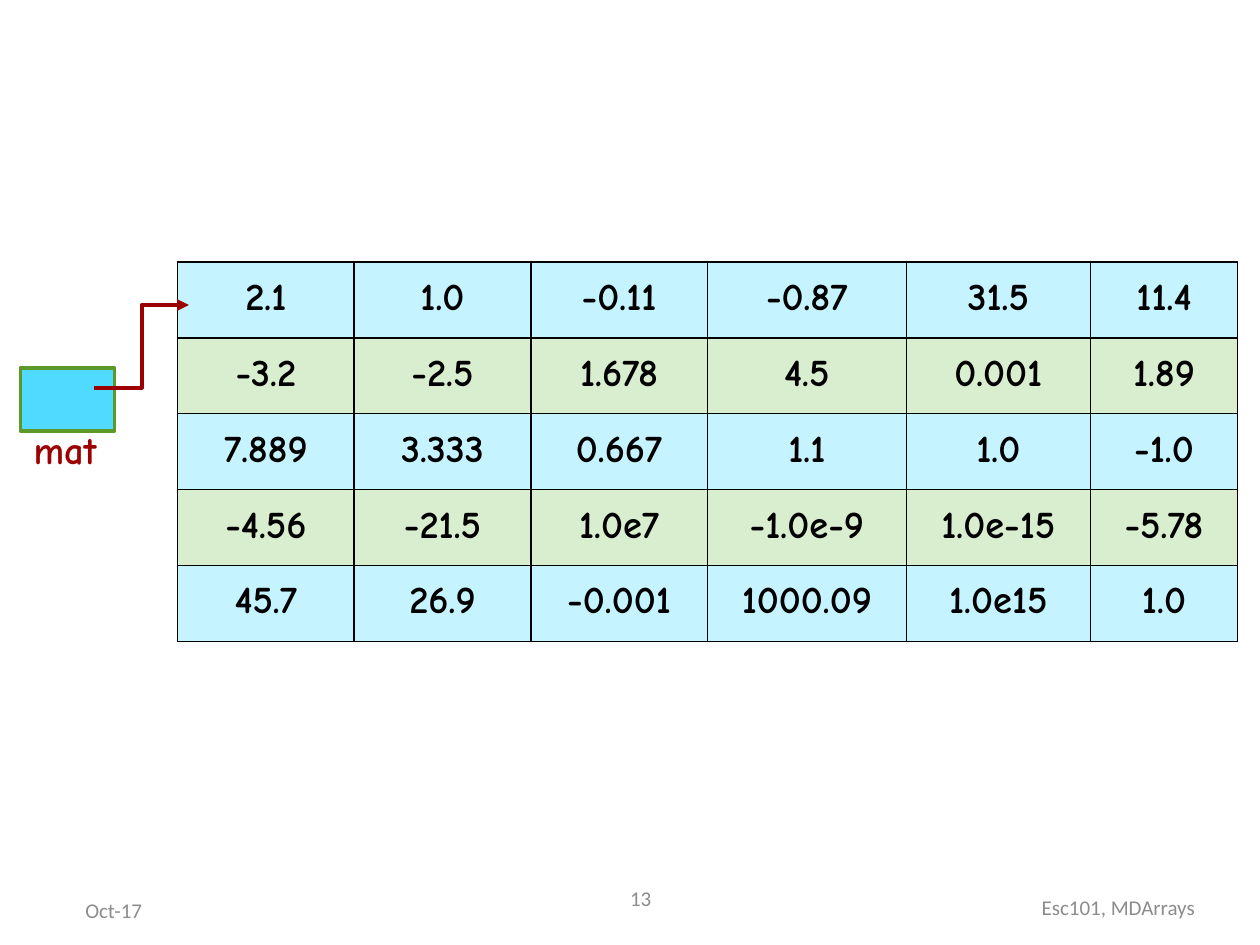
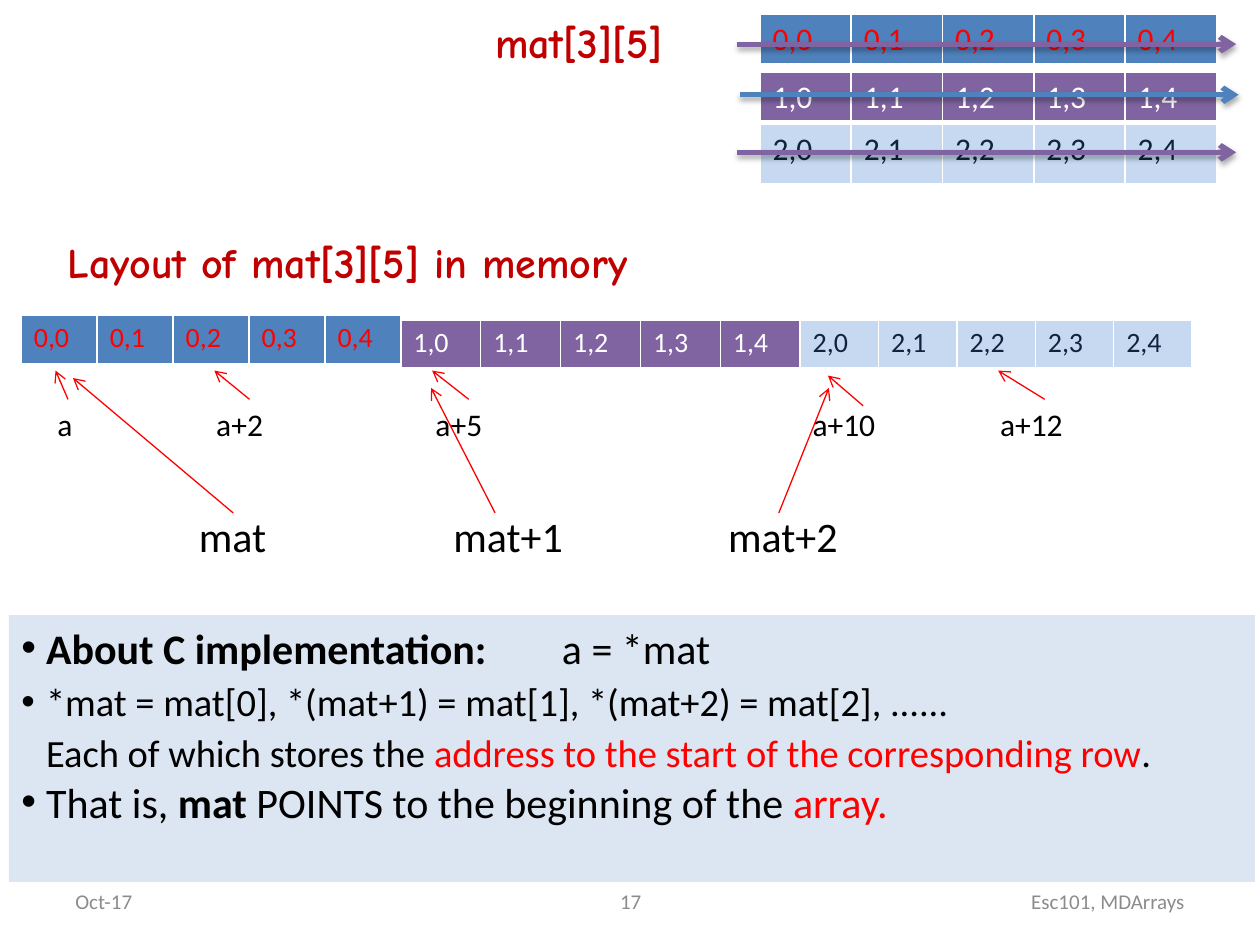
import dataclasses
import itertools

import lxml.etree
import pptx
import pptx.dml.color
import pptx.enum.shapes
import pptx.enum.text
import pptx.oxml
import pptx.oxml.ns
import pptx.util

Cm, Pt = pptx.util.Cm, pptx.util.Pt
ALIGN = pptx.enum.text.PP_ALIGN
ANCHOR = pptx.enum.text.MSO_ANCHOR
CONNECTOR = pptx.enum.shapes.MSO_CONNECTOR
qn = pptx.oxml.ns.qn


@dataclasses.dataclass(frozen=True)
class Theme:
    """Colours, fonts and type sizes of both slides."""
    body: str = "Calibri"
    hand: str = "Comic Neue"
    black: str = "000000"
    white: str = "FFFFFF"
    grey: str = "8C8C8C"
    red: str = "FF0000"
    title: str = "C00000"
    maroon: str = "9D0000"
    blue: str = "4F81BD"
    purple: str = "8064A2"
    pale: str = "C6D9F1"
    navy: str = "0F243E"
    panel: str = "DCE6F2"
    stripes: tuple = ("C5F3FF", "D8EECE")
    pointer: str = "51DAFF"
    pointer_edge: str = "5C9929"
    large: float = 24
    matrix: float = 22
    medium: float = 18
    small: float = 16
    footer: float = 12


T = Theme()

# ---- Content; all lengths are centimetres ----
MATRIX = [
    ["2.1", "1.0", "-0.11", "-0.87", "31.5", "11.4"],
    ["-3.2", "-2.5", "1.678", "4.5", "0.001", "1.89"],
    ["7.889", "3.333", "0.667", "1.1", "1.0", "-1.0"],
    ["-4.56", "-21.5", "1.0e7", "-1.0e-9", "1.0e-15", "-5.78"],
    ["45.7", "26.9", "-0.001", "1000.09", "1.0e15", "1.0"],
]
MATRIX_COLUMNS = [3.56, 3.56, 3.56, 4.01, 3.71, 2.97]

# One entry per matrix row: fill, text colour, arrow colour
ROW_STYLES = [(T.blue, T.red, T.purple),
              (T.purple, T.white, T.blue),
              (T.pale, T.navy, T.purple)]
# top, height, arrow left, arrow height on the slide
GRID_ROWS = [(0.28, 1.04, 14.86, 0.89),
             (1.45, 1.02, 14.91, 1.91),
             (2.51, 1.22, 14.86, 3.07)]
# top, height, column width
MEMORY_ROWS = [(6.35, 1.02, 1.53), (6.45, 0.99, 1.61), (6.45, 0.99, 1.58)]

# text, left, width, arrow start, arrow end
ELEMENT_POINTERS = [
    ("a", 0.91, 0.89, (1.37, 8.05), (1.12, 7.47)),
    ("a+2", 4.11, 1.83, (5.03, 8.05), (4.32, 7.47)),
    ("a+5", 8.53, 1.83, (9.45, 8.05), (8.71, 7.47)),
    ("a+10", 16.13, 2.24, (17.4, 8.18), (16.69, 7.57)),
    ("a+12", 19.91, 2.24, (21.06, 8.05), (20.12, 7.47)),
]
ROW_POINTERS = [
    ("mat", 3.76, 1.88, (4.7, 10.34), (1.47, 7.62)),
    ("mat+1", 8.89, 2.74, (9.98, 10.34), (8.69, 7.82)),
    ("mat+2", 14.43, 2.74, (15.7, 10.34), (16.71, 7.82)),
]
# text, top, height, size, entries
POINTER_GROUPS = [(8.05, 1.02, T.medium, ELEMENT_POINTERS),
                  (10.16, 1.27, T.large, ROW_POINTERS)]
HEADINGS = [("mat[3][5]", (9.73, 0.2, 4.37, 1.27)),
            ("Layout of mat[3][5] in memory", (1.12, 4.65, 13.28, 1.27))]

# bulleted?, then runs of (text, size, colour, bold)
NOTES = [
    (True, [("About C implementation:\t", T.large, T.black, True),
            ("a = *mat", T.large, T.black, False)]),
    (True, [("*mat = mat[0], *(mat+1) = mat[1], *(mat+2) = mat[2], ......",
             T.matrix, T.black, False)]),
    (False, [("Each of which stores the ", T.matrix, T.black, False),
             ("address to the start of the corresponding row",
              T.matrix, T.red, False),
             (".", T.matrix, T.black, False)]),
    (True, [("That is, ", T.large, T.black, False),
            ("mat", T.large, T.black, True),
            (" POINTS to the beginning of the ", T.large, T.black, False),
            ("array.", T.large, T.red, False)]),
]


# ---- Helpers ----
def rgb(value):
    """Turn a hex string into a colour."""
    return pptx.dml.color.RGBColor.from_string(value)


def add_run(paragraph, text, size, color, bold=False, font=T.body):
    """Append one styled run."""
    run = paragraph.add_run()
    run.text = text
    run.font.size, run.font.bold, run.font.name = Pt(size), bold, font
    run.font.color.rgb = rgb(color)


def add_label(slide, text, box, size, color, bold=False, font=T.body):
    """Add a one-line text box that fits its text."""
    frame = slide.shapes.add_textbox(*map(Cm, box)).text_frame
    frame.word_wrap = False
    frame.auto_size = pptx.enum.text.MSO_AUTO_SIZE.SHAPE_TO_FIT_TEXT
    add_run(frame.paragraphs[0], text, size, color, bold, font)


def add_footers(slide, number, date_at, number_at, course_at):
    """Add date, slide number and course name."""
    for text, (left, top), width, align in (
            ("Oct-17", date_at, 5.92, ALIGN.LEFT),
            (number, number_at, 8.05, ALIGN.CENTER),
            ("Esc101, MDArrays", course_at, 5.92, ALIGN.RIGHT)):
        frame = slide.shapes.add_textbox(
            Cm(left), Cm(top), Cm(width), Cm(1.02)).text_frame
        frame.word_wrap = True
        frame.vertical_anchor = ANCHOR.MIDDLE
        frame.paragraphs[0].alignment = align
        add_run(frame.paragraphs[0], text, T.footer, T.grey)


def add_box(slide, box, fill, edge=None):
    """Add a flat rectangle, outlined when an edge colour is given."""
    shape = slide.shapes.add_shape(
        pptx.enum.shapes.MSO_SHAPE.RECTANGLE, *map(Cm, box))
    shape.shadow.inherit = False
    shape.fill.solid()
    shape.fill.fore_color.rgb = rgb(fill)
    if edge:
        shape.line.color.rgb, shape.line.width = rgb(edge), Pt(2)
    else:
        shape.line.fill.background()
    return shape


def add_arrow(slide, start, end, color, width, head="arrow",
              kind=CONNECTOR.STRAIGHT, shadow=False):
    """Add a connector with an arrowhead at its end."""
    arrow = slide.shapes.add_connector(kind, *map(Cm, start + end))
    arrow.line.color.rgb, arrow.line.width = rgb(color), Pt(width)
    properties = arrow._element.spPr
    line = properties.find(qn("a:ln"))
    lxml.etree.SubElement(line, qn("a:tailEnd"), type=head)
    effects = lxml.etree.SubElement(properties, qn("a:effectLst"))
    if shadow:
        outer = lxml.etree.SubElement(
            effects, qn("a:outerShdw"), blurRad="40000", dist="23000",
            dir="5400000", rotWithShape="0")
        black = lxml.etree.SubElement(outer, qn("a:srgbClr"), val=T.black)
        lxml.etree.SubElement(black, qn("a:alpha"), val="35000")


def set_borders(cell, color, bottom):
    """Draw the four cell borders, 1 pt except for the bottom one."""
    properties = cell._tc.get_or_add_tcPr()
    for index, (side, width) in enumerate(
            (("L", 1), ("R", 1), ("T", 1), ("B", bottom))):
        line = lxml.etree.Element(qn("a:ln" + side), w=str(Pt(width)))
        fill = lxml.etree.SubElement(line, qn("a:solidFill"))
        lxml.etree.SubElement(fill, qn("a:srgbClr"), val=color)
        properties.insert(index, line)


def add_grid(slide, rows, left, top, columns, row_height, fills, border,
             bottom, align=ALIGN.LEFT, spacing=None, **text_style):
    """Add a table whose rows cycle through the fills."""
    table = slide.shapes.add_table(
        len(rows), len(columns), Cm(left), Cm(top), Cm(sum(columns)),
        Cm(row_height * len(rows))).table
    table.first_row = table.horz_banding = False
    for column, width in zip(table.columns, columns):
        column.width = Cm(width)
    for row, values, fill in zip(table.rows, rows, itertools.cycle(fills)):
        row.height = Cm(row_height)
        for cell, value in zip(row.cells, values):
            cell.fill.solid()
            cell.fill.fore_color.rgb = rgb(fill)
            set_borders(cell, border, bottom)
            paragraph = cell.text_frame.paragraphs[0]
            paragraph.alignment = align
            if spacing:
                paragraph.line_spacing = spacing
            add_run(paragraph, value, **text_style)


def add_notes(slide, box):
    """Add the panel of bulleted remarks."""
    frame = add_box(slide, box, T.panel).text_frame
    frame.word_wrap = True
    frame.vertical_anchor = ANCHOR.TOP
    for index, (bulleted, runs) in enumerate(NOTES):
        paragraph = frame.add_paragraph() if index else frame.paragraphs[0]
        paragraph.alignment = ALIGN.LEFT
        paragraph.line_spacing = Pt(29.3)
        properties = paragraph._p.get_or_add_pPr()
        properties.set("marL", str(Cm(0.5)))
        if bulleted:
            properties.set("indent", str(Cm(-0.5)))
            lxml.etree.SubElement(properties, qn("a:buFont"), typeface="Arial")
            lxml.etree.SubElement(properties, qn("a:buChar"), char="\u2022")
        if "\t" in runs[0][0]:
            tabs = lxml.etree.SubElement(properties, qn("a:tabLst"))
            lxml.etree.SubElement(tabs, qn("a:tab"), pos=str(Cm(10.9)),
                                  algn="l")
        for run in runs:
            add_run(paragraph, *run)


# ---- Slides ----
def build_matrix_slide(slide):
    """Show the matrix and the pointer to its first row."""
    add_grid(slide, MATRIX, 3.58, 5.28, MATRIX_COLUMNS, 1.53, T.stripes,
             T.black, 1, ALIGN.CENTER, 1.17, size=T.matrix, color=T.black,
             bold=True, font=T.hand)
    add_box(slide, (0.41, 7.42, 1.9, 1.27), T.pointer, T.pointer_edge)
    add_label(slide, "mat", (0.43, 8.46, 1.9, 1.19), T.matrix, T.maroon,
              True, T.hand)
    add_arrow(slide, (1.9, 7.82), (3.81, 6.15), T.maroon, 2.24, "triangle",
              CONNECTOR.ELBOW)
    add_footers(slide, "13", (1.47, 17.83), (8.89, 17.6), (18.42, 17.78))


def build_memory_slide(slide):
    """Show how the rows of the matrix follow each other in memory."""
    add_footers(slide, "17", (1.27, 17.65), (8.69, 17.65), (18.21, 17.65))
    memory_left = 0.43
    for index, (fill, ink, arrow) in enumerate(ROW_STYLES):
        cells = [[f"{index},{column}" for column in range(5)]]
        top, height, arrow_left, arrow_top = GRID_ROWS[index]
        add_grid(slide, cells, 15.32, top, [1.84] * 5, height, [fill],
                 T.white, 3, size=T.medium, color=ink)
        add_arrow(slide, (arrow_left, arrow_top),
                  (arrow_left + 10.06, arrow_top), arrow, 3, shadow=True)
        top, height, width = MEMORY_ROWS[index]
        add_grid(slide, cells, memory_left, top, [width] * 5, height, [fill],
                 T.white, 3, size=T.small, color=ink)
        memory_left += 5 * width
    for text, box in HEADINGS:
        add_label(slide, text, box, T.large, T.title, True, T.hand)
    add_notes(slide, (0.18, 12.4, 25.12, 5.38))
    for top, height, size, pointers in POINTER_GROUPS:
        for text, left, width, start, end in pointers:
            add_label(slide, text, (left, top, width, height), size, T.black)
            add_arrow(slide, start, end, T.red, 0.75)


deck = pptx.Presentation()
deck.slide_width, deck.slide_height = Cm(25.4), Cm(19.05)
for build in (build_matrix_slide, build_memory_slide):
    build(deck.slides.add_slide(deck.slide_layouts[6]))
deck.save("out.pptx")
